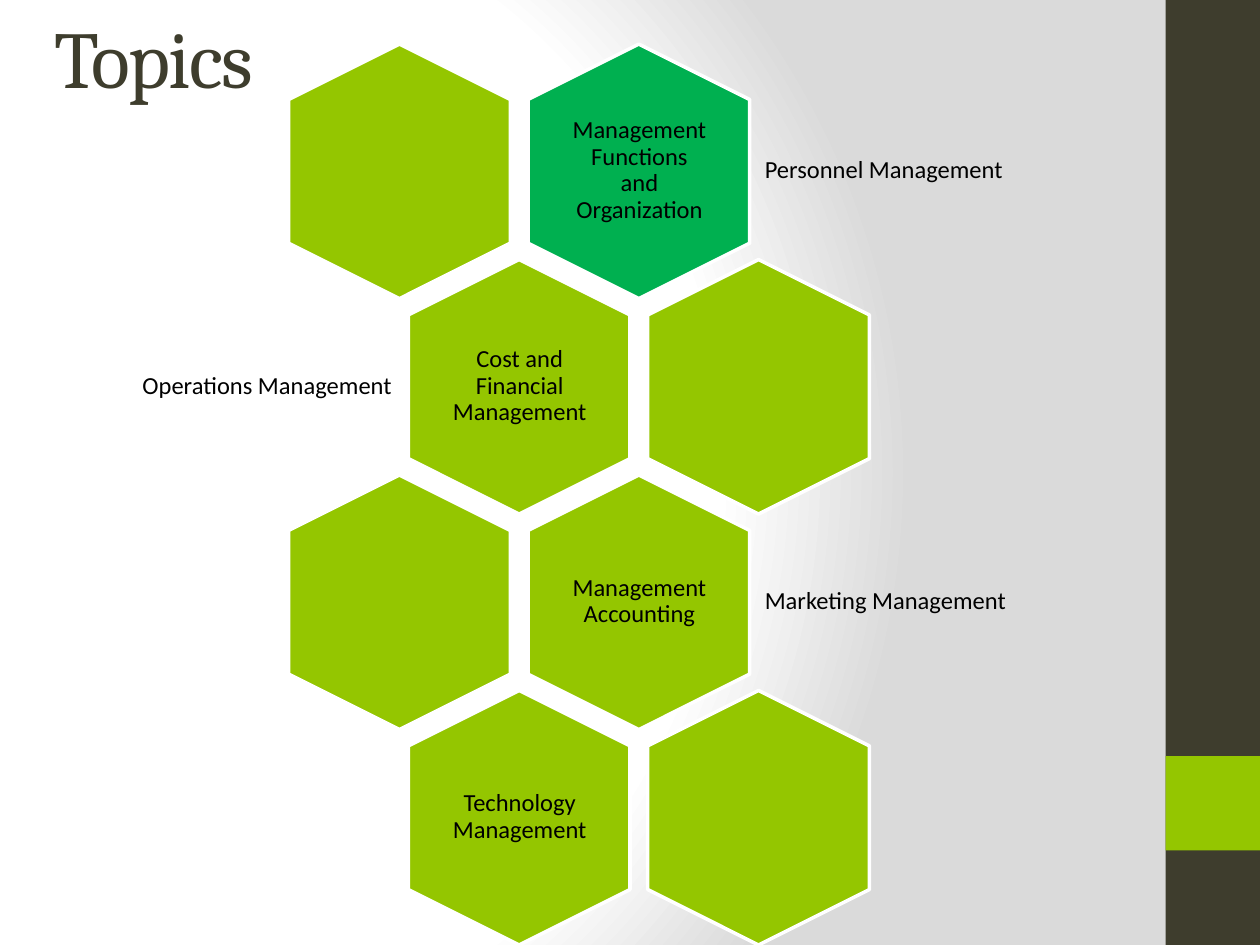
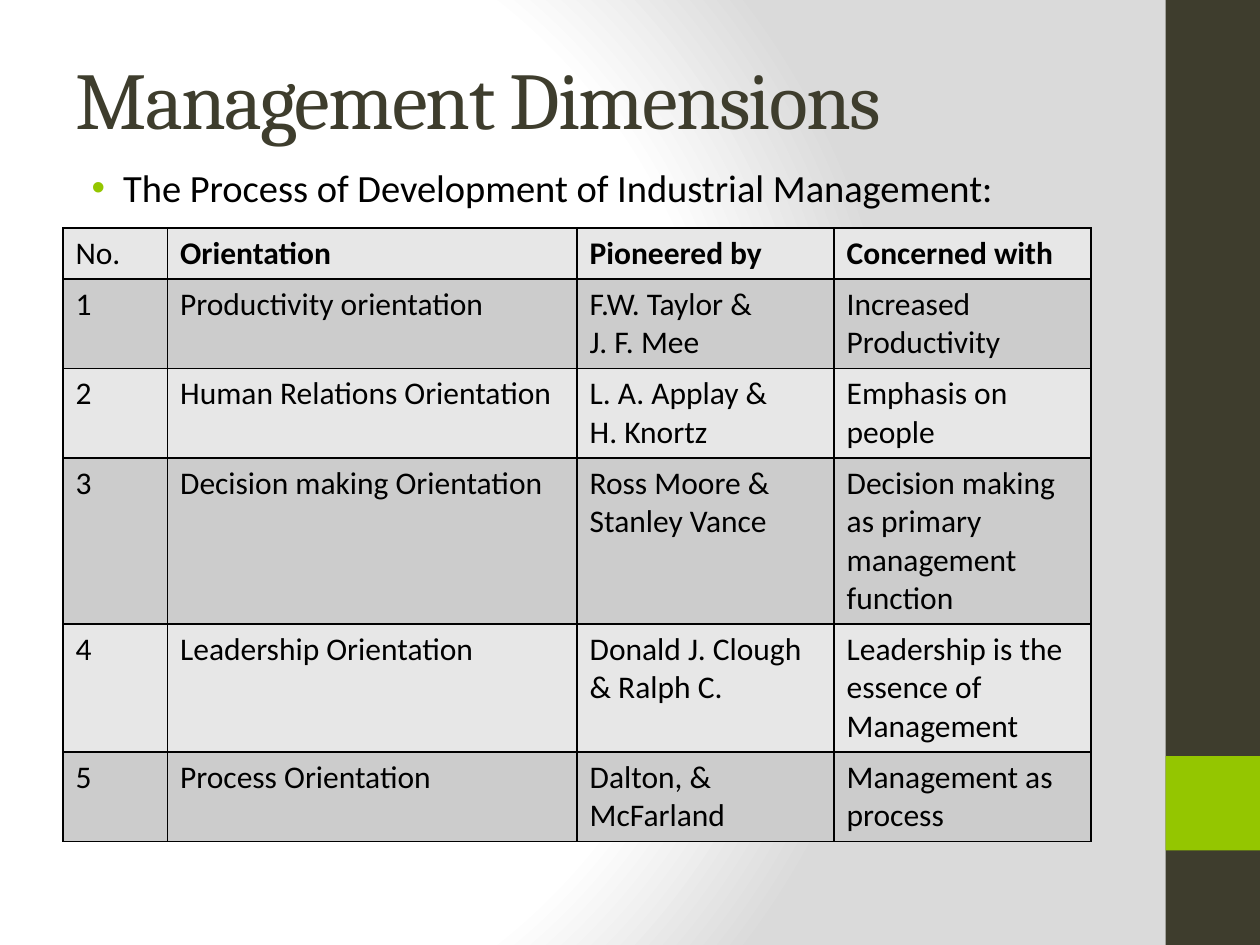
from dataclasses import dataclass
from typing import NamedTuple

from pptx import Presentation
from pptx import util as u
from pptx.dml.color import RGBColor
from pptx.enum import shapes, text
from pptx.oxml import parse_xml
from pptx.oxml.ns import nsdecls, qn
from pptx.slide import Slide
from pptx.text.text import TextFrame


@dataclass(frozen=True)
class Theme:
    dark: str = "3E3D2D"
    lime: str = "94C600"
    green: str = "00B050"
    white: str = "FFFFFF"
    black: str = "000000"
    backdrop: str = "DADADA"
    row_light: str = "E7E7E7"
    row_dark: str = "CCCCCC"
    title_font: str = "Cambria"
    body_font: str = "Calibri"
    title_size: int = 46
    bullet_size: int = 22
    table_size: int = 18
    label_size: int = 14


class Box(NamedTuple):
    left: float
    top: float
    width: float
    height: float

    def lengths(self) -> list[u.Length]:
        return [u.Inches(v) for v in self]


class Band(NamedTuple):
    box: Box
    color: str


class Hexagon(NamedTuple):
    row: int
    col: int
    caption: str = ""
    color: str = Theme.lime


class SideLabel(NamedTuple):
    row: int
    left: float
    width: float
    caption: str
    align: text.PP_ALIGN


class Orientation(NamedTuple):
    name: str
    pioneers: str
    concern: str
    lines: int


T = Theme()
BANDS = [Band(Box(9.25, 0, 0.75, 7.5), T.dark), Band(Box(9.25, 6, 0.75, 0.75), T.lime)]

HEX_WIDTH, HEX_HEIGHT = 2.02, 1.76
HEX_LEFT, HEX_TOP = 2.16, 0.48
COL_PITCH, ROW_PITCH = 1.9, 1.71
HEXAGONS = [
    Hexagon(0, 0),
    Hexagon(0, 1, "Management Functions and Organization", T.green),
    Hexagon(1, 0, "Cost and Financial Management"),
    Hexagon(1, 1),
    Hexagon(2, 0),
    Hexagon(2, 1, "Management Accounting"),
    Hexagon(3, 0, "Technology Management"),
    Hexagon(3, 1),
]
SIDE_LABELS = [
    SideLabel(0, 6.01, 2.25, "Personnel Management", text.PP_ALIGN.LEFT),
    SideLabel(1, 0.99, 2.18, "Operations Management", text.PP_ALIGN.RIGHT),
    SideLabel(2, 6.01, 2.25, "Marketing Management", text.PP_ALIGN.LEFT),
]

HEADERS = ["No.", "Orientation", "Pioneered by", "Concerned with"]
COL_WIDTHS = [0.83, 3.25, 2.04, 2.04]
ORIENTATIONS = [
    Orientation("Productivity orientation", "F.W. Taylor &\nJ. F. Mee", "Increased Productivity", 2),
    Orientation("Human Relations Orientation", "L. A. Applay &\nH. Knortz", "Emphasis on people", 2),
    Orientation("Decision making Orientation", "Ross Moore & Stanley Vance",
                "Decision making as primary management function", 4),
    Orientation("Leadership Orientation", "Donald J. Clough & Ralph C.",
                "Leadership is the essence of Management", 3),
    Orientation("Process Orientation", "Dalton, & McFarland", "Management as process", 2),
]


def rgb(color: str) -> RGBColor:
    return RGBColor.from_string(color)


def style_text(tf: TextFrame, size: int, font: str = T.body_font,
               color: str = T.black, bold: bool = False) -> None:
    for p in tf.paragraphs:
        for r in p.runs:
            r.font.name = font
            r.font.size = u.Pt(size)
            r.font.bold = bold
            r.font.color.rgb = rgb(color)


def set_background(prs: Presentation) -> None:
    master = prs.slide_master
    master.background.fill.solid()
    bg = master.element.find(".//" + qn("p:bgPr"))
    stops = "".join(
        f'<a:gs pos="{pos * 1000}"><a:srgbClr val="{color}"/></a:gs>'
        for pos, color in [(0, T.white), (75, T.white), (100, T.backdrop)])
    bg.replace(bg[0], parse_xml(
        f'<a:gradFill {nsdecls("a")} rotWithShape="1"><a:gsLst>{stops}</a:gsLst>'
        '<a:path path="circle"><a:fillToRect l="20000" t="50000" r="100000" b="50000"/>'
        '</a:path></a:gradFill>'))


def add_titled_slide(prs: Presentation, title: str, box: Box) -> Slide:
    s = prs.slides.add_slide(prs.slide_layouts[5])
    sp = s.shapes.title
    sp.left, sp.top, sp.width, sp.height = box.lengths()
    tf = sp.text_frame
    tf.text = title
    tf.word_wrap = True
    tf.auto_size = text.MSO_AUTO_SIZE.NONE
    tf.vertical_anchor = text.MSO_ANCHOR.MIDDLE
    p = tf.paragraphs[0]
    p.alignment = text.PP_ALIGN.LEFT
    style_text(tf, T.title_size, T.title_font, T.dark)
    p.runs[0].font._element.set("spc", "-100")
    for band in BANDS:
        sp = s.shapes.add_shape(shapes.MSO_SHAPE.RECTANGLE, *band.box.lengths())
        sp.shadow.inherit = False
        sp.fill.solid()
        sp.fill.fore_color.rgb = rgb(band.color)
        sp.line.fill.background()
    return s


def add_caption(s: Slide, box: Box, caption: str, align: text.PP_ALIGN) -> None:
    tf = s.shapes.add_textbox(*box.lengths()).text_frame
    tf.text = caption
    tf.word_wrap = True
    tf.vertical_anchor = text.MSO_ANCHOR.MIDDLE
    tf.margin_left = tf.margin_right = tf.margin_top = tf.margin_bottom = u.Inches(0.06)
    p = tf.paragraphs[0]
    p.alignment = align
    p.line_spacing = 0.9
    style_text(tf, T.label_size)


def add_hexagon(s: Slide, item: Hexagon) -> None:
    left = HEX_LEFT + COL_PITCH * (item.col + item.row % 2 / 2)
    top = HEX_TOP + ROW_PITCH * item.row
    sp = s.shapes.add_shape(shapes.MSO_SHAPE.HEXAGON,
                            *Box(left, top, HEX_WIDTH, HEX_HEIGHT).lengths())
    sp.rotation = 90
    sp.shadow.inherit = False
    sp.fill.solid()
    sp.fill.fore_color.rgb = rgb(item.color)
    sp.line.color.rgb = rgb(T.white)
    sp.line.width = u.Pt(2)
    if item.caption:
        add_caption(s, Box(left + 0.41, top + 0.18, 1.21, 1.39), item.caption, text.PP_ALIGN.CENTER)


def add_bullet(s: Slide, box: Box, line: str) -> None:
    tf = s.shapes.add_textbox(*box.lengths()).text_frame
    tf.text = line
    tf.word_wrap = True
    pr = tf.paragraphs[0]._p.get_or_add_pPr()
    pr.set("marL", str(u.Inches(0.38)))
    pr.set("indent", str(u.Inches(-0.25)))
    for bullet in (f'<a:buClr {nsdecls("a")}><a:srgbClr val="{T.lime}"/></a:buClr>',
                   f'<a:buFont {nsdecls("a")} typeface="Arial"/>',
                   f'<a:buChar {nsdecls("a")} char="•"/>'):
        pr.append(parse_xml(bullet))
    style_text(tf, T.bullet_size)


def add_orientation_table(s: Slide) -> None:
    rows = [HEADERS] + [[str(n), o.name, o.pioneers, o.concern]
                        for n, o in enumerate(ORIENTATIONS, 1)]
    heights = [0.1 + 0.305 * n for n in [1] + [o.lines for o in ORIENTATIONS]]
    box = Box(0.5, 1.81, sum(COL_WIDTHS), sum(heights))
    table = s.shapes.add_table(len(rows), len(HEADERS), *box.lengths()).table
    table.first_row = table.horz_banding = False
    for column, width in zip(table.columns, COL_WIDTHS):
        column.width = u.Inches(width)
    for i, (values, height) in enumerate(zip(rows, heights)):
        table.rows[i].height = u.Inches(height)
        for j, value in enumerate(values):
            cell = table.cell(i, j)
            cell.text = value
            style_text(cell.text_frame, T.table_size, bold=i == 0 and j > 0)
            cell.fill.solid()
            cell.fill.fore_color.rgb = rgb(T.row_dark if i % 2 else T.row_light)
            for k, side in enumerate(("lnL", "lnR", "lnT", "lnB")):
                cell._tc.get_or_add_tcPr().insert(k, parse_xml(
                    f'<a:{side} {nsdecls("a")} w="{u.Pt(1)}"><a:solidFill>'
                    f'<a:srgbClr val="{T.black}"/></a:solidFill></a:{side}>'))


def main() -> None:
    prs = Presentation()
    prs.slide_width, prs.slide_height = u.Inches(10), u.Inches(7.5)
    set_background(prs)

    s = add_titled_slide(prs, "Topics", Box(0.33, 0.2, 1.92, 0.5))
    for item in HEXAGONS:
        add_hexagon(s, item)
    for label in SIDE_LABELS:
        top = HEX_TOP + 0.27 + ROW_PITCH * label.row
        add_caption(s, Box(label.left, top, label.width, 1.21), label.caption, label.align)

    s = add_titled_slide(prs, "Management Dimensions", Box(0.5, 0.3, 8.33, 0.95))
    add_bullet(s, Box(0.5, 1.25, 8.33, 0.5), "The Process of Development of Industrial Management:")
    add_orientation_table(s)

    prs.save("out.pptx")


if __name__ == "__main__":
    main()
